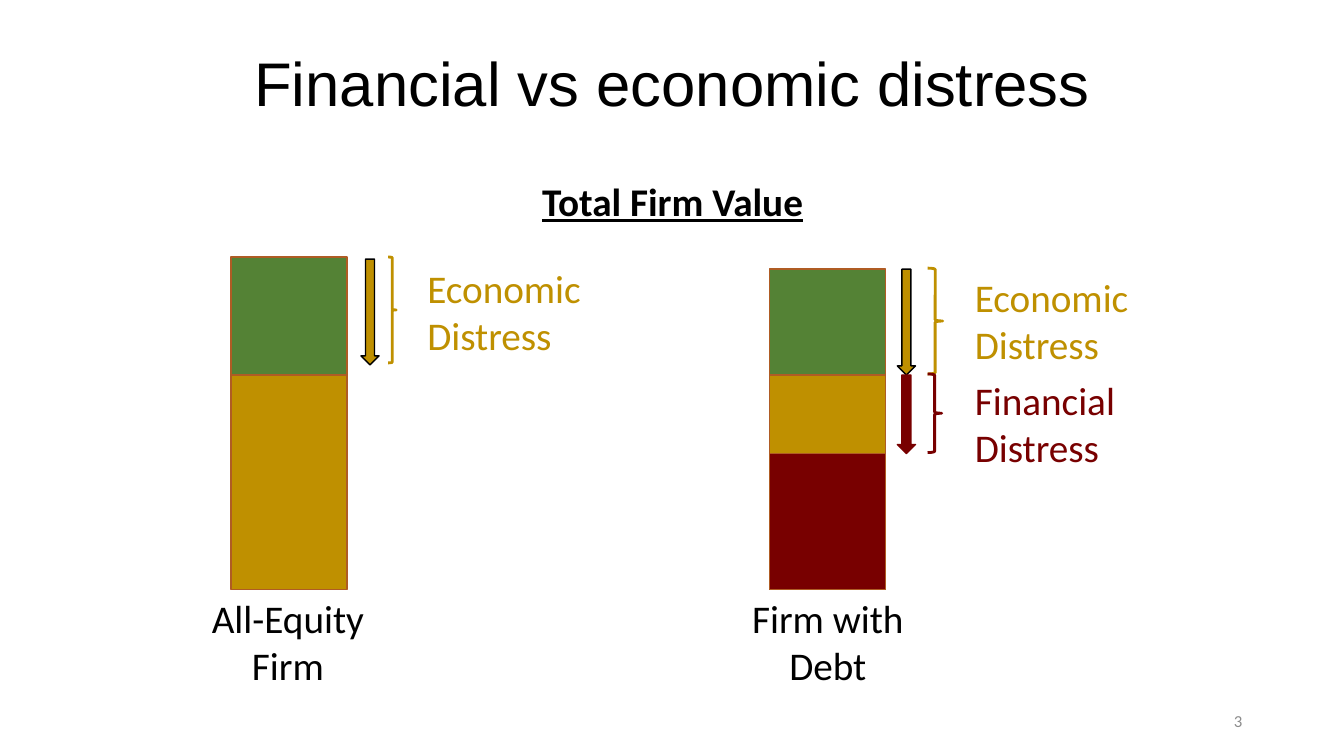
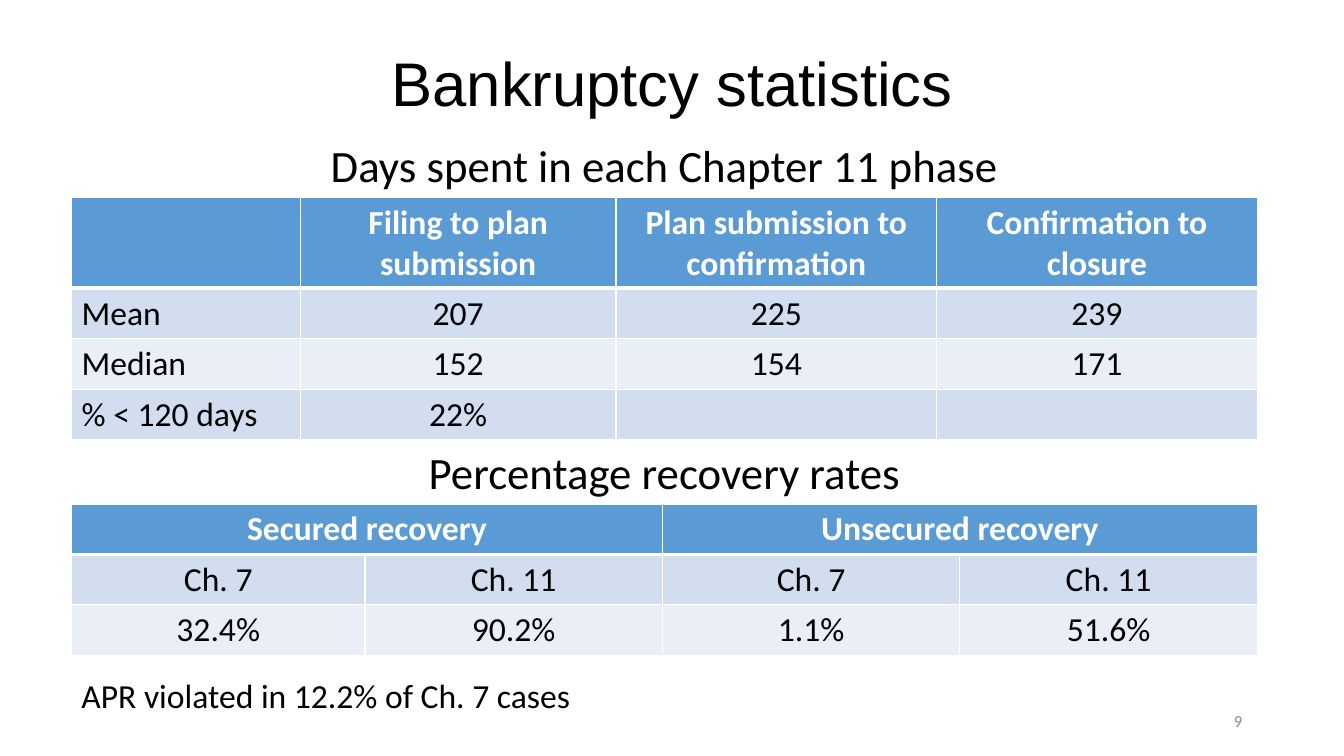
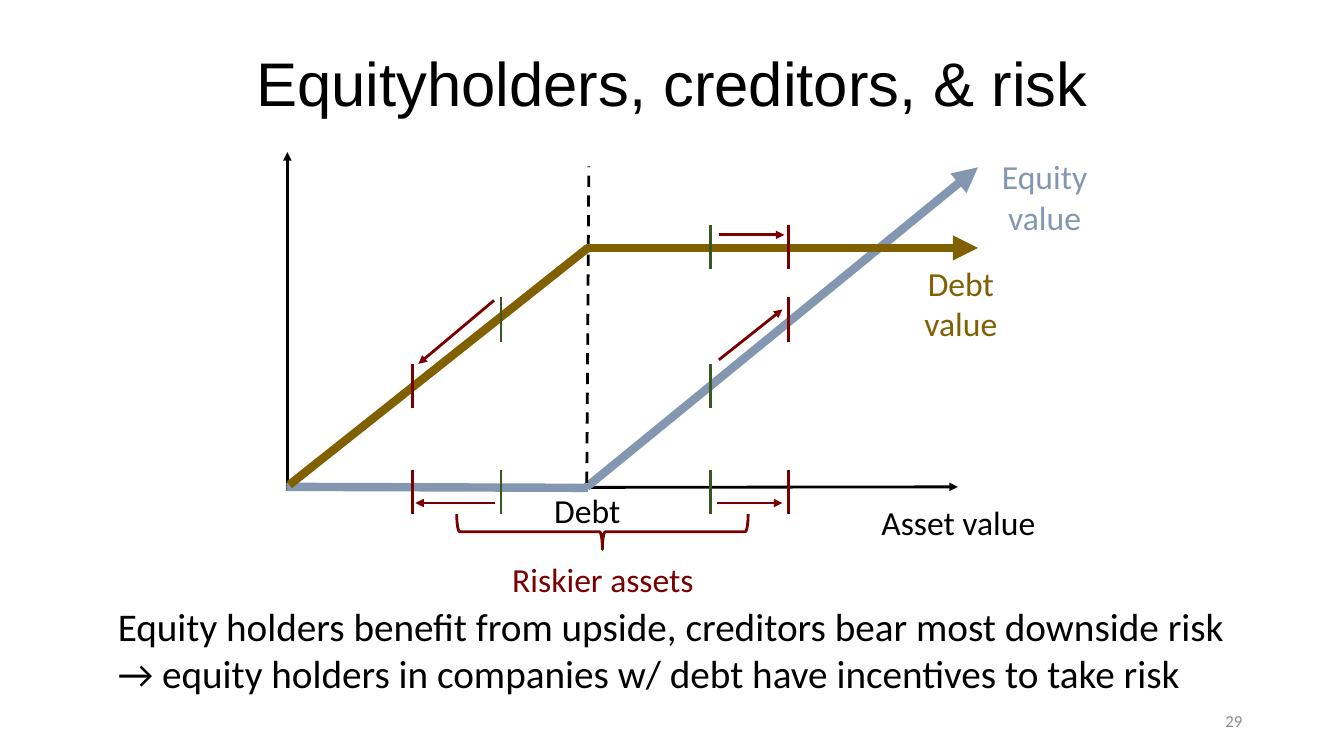
import dataclasses
import typing

import lxml.etree
import pptx
import pptx.dml.color
import pptx.enum.dml
import pptx.enum.shapes
import pptx.enum.text
import pptx.oxml.ns
import pptx.slide
import pptx.util

PIXEL = 9144  # EMU; 100 px to the inch
COLORS = {
    "black": "000000", "white": "FFFFFF", "grey": "8C8C8C",
    "green": "548235", "dark green": "385723", "gold": "BF9000",
    "dark gold": "806000", "red": "780000", "rust": "AF5C24",
    "slate": "8497B0", "header": "5B9BD5", "band": "D2DEEF",
    "light band": "EAEFF7",
}
BODY_FONT = "Calibri"
TITLE_FONT = "Arial"
ALIGN = pptx.enum.text.PP_ALIGN
MIDDLE = pptx.enum.text.MSO_ANCHOR.MIDDLE
SHAPE = pptx.enum.shapes.MSO_SHAPE
qn = pptx.oxml.ns.qn

Slide = pptx.slide.Slide


@dataclasses.dataclass
class Label:
    text: str
    left: int
    top: int
    width: int
    height: int
    size: int = 28
    color: str = "black"
    align: ALIGN = ALIGN.CENTER
    heading: bool = False


@dataclasses.dataclass
class Figure:
    kind: SHAPE
    left: int
    top: int
    width: int
    height: int
    fill: typing.Optional[str]
    line: str
    line_width: int = 1
    rotation: int = 0


@dataclasses.dataclass
class Line:
    x1: int
    y1: int
    x2: int
    y2: int
    color: str
    width: int = 2
    arrow: bool = False
    dashed: bool = False


@dataclasses.dataclass
class Grid:
    top: int
    columns: list[int]
    heights: list[int]
    rows: list[list[str]]
    row_heads: bool = False
    merged_pairs: bool = False


def px(length: int) -> pptx.util.Emu:
    return pptx.util.Emu(length * PIXEL)


def rgb(name: str) -> pptx.dml.color.RGBColor:
    return pptx.dml.color.RGBColor.from_string(COLORS[name])


def format_text(frame, size: int, color: str, align: ALIGN,
                font: str = BODY_FONT, bold: bool = False) -> None:
    for para in frame.paragraphs:
        para.alignment = align
        for span in para.runs:
            span.font.name = font
            span.font.size = pptx.util.Pt(size)
            span.font.bold = bold
            span.font.color.rgb = rgb(color)


def draw_label(page: Slide, label: Label) -> None:
    box = page.shapes.add_textbox(px(label.left), px(label.top),
                                  px(label.width), px(label.height))
    frame = box.text_frame
    frame.word_wrap = True
    frame.text = label.text
    format_text(frame, label.size, label.color, label.align, bold=label.heading)
    if label.heading:
        frame.paragraphs[0].runs[0].font.underline = True


def draw_figure(page: Slide, figure: Figure) -> None:
    shape = page.shapes.add_shape(figure.kind, px(figure.left), px(figure.top),
                                  px(figure.width), px(figure.height))
    shape.shadow.inherit = False
    shape.rotation = figure.rotation
    if figure.fill:
        shape.fill.solid()
        shape.fill.fore_color.rgb = rgb(figure.fill)
    else:
        shape.fill.background()
    shape.line.color.rgb = rgb(figure.line)
    shape.line.width = pptx.util.Pt(figure.line_width)


def draw_line(page: Slide, line: Line) -> None:
    connector = page.shapes.add_connector(
        pptx.enum.shapes.MSO_CONNECTOR.STRAIGHT,
        px(line.x1), px(line.y1), px(line.x2), px(line.y2))
    connector.line.color.rgb = rgb(line.color)
    connector.line.width = pptx.util.Pt(line.width)
    if line.dashed:
        connector.line.dash_style = pptx.enum.dml.MSO_LINE.DASH
    properties = connector.element.spPr
    if line.arrow:
        outline = properties.find(qn("a:ln"))
        lxml.etree.SubElement(outline, qn("a:tailEnd"), type="triangle")
    lxml.etree.SubElement(properties, qn("a:effectLst"))


def set_borders(cell, header: bool) -> None:
    properties = cell._tc.get_or_add_tcPr()
    for side in ("lnL", "lnR", "lnT", "lnB"):
        points = 3 if header and side == "lnB" else 1
        border = lxml.etree.SubElement(properties, qn(f"a:{side}"),
                                       w=str(pptx.util.Pt(points)))
        fill = lxml.etree.SubElement(border, qn("a:solidFill"))
        lxml.etree.SubElement(fill, qn("a:srgbClr"), val=COLORS["white"])


def draw_grid(page: Slide, grid: Grid) -> None:
    table = page.shapes.add_table(
        len(grid.rows), len(grid.columns), px(71), px(grid.top),
        px(sum(grid.columns)), px(sum(grid.heights))).table
    for column, width in zip(table.columns, grid.columns):
        column.width = px(width)
    for r, (height, texts) in enumerate(zip(grid.heights, grid.rows)):
        table.rows[r].height = px(height)
        header = r == 0
        fill = "header" if header else "band" if r % 2 else "light band"
        for c, text in enumerate(texts):
            cell = table.cell(r, c)
            set_borders(cell, header)
            cell.fill.solid()
            cell.fill.fore_color.rgb = rgb(fill)
            if text:
                cell.text_frame.text = text
            align = ALIGN.LEFT if grid.row_heads and c == 0 else ALIGN.CENTER
            format_text(cell.text_frame, 24, "white" if header else "black",
                        align, bold=header)
    if grid.merged_pairs:
        for c in range(0, len(grid.columns), 2):
            table.cell(0, c).merge(table.cell(0, c + 1))


def add_page(deck, title: str, number: int) -> Slide:
    """Add a page with the shared title style and page number."""
    page = deck.slides.add_slide(deck.slide_layouts[5])
    box = page.shapes.title
    box.left, box.top, box.width, box.height = px(92), px(40), px(1150), px(91)
    frame = box.text_frame
    frame.text = title
    frame.vertical_anchor = MIDDLE
    frame.paragraphs[0].line_spacing = 0.9
    format_text(frame, 44, "black", ALIGN.CENTER, TITLE_FONT)

    footer = page.shapes.add_textbox(px(942), px(695), px(300), px(40)).text_frame
    footer.word_wrap = True
    footer.vertical_anchor = MIDDLE
    footer.text = str(number)
    format_text(footer, 12, "grey", ALIGN.RIGHT)
    return page


def build_distress(deck) -> None:
    page = add_page(deck, "Financial vs economic distress", 3)
    # Stacked value bars: left, top, height, colour
    for left, top, height, color in [
        (229, 255, 318, "green"), (763, 267, 318, "green"),
        (229, 372, 213, "gold"), (763, 372, 213, "gold"),
        (763, 450, 135, "red"),
    ]:
        draw_figure(page, Figure(SHAPE.RECTANGLE, left, top, 115, height,
                                 color, "rust"))
    # Loss braces: left, top, width, height, colour
    for left, top, width, height, color in [
        (385, 255, 8, 105, "gold"), (920, 266, 15, 105, "gold"),
        (920, 371, 14, 78, "red"),
    ]:
        draw_figure(page, Figure(SHAPE.RIGHT_BRACE, left, top, width, height,
                                 None, color, 2))
    # Loss arrows: left, top, height, fill, outline
    for left, top, height, fill, outline in [
        (358, 257, 105, "gold", "black"), (890, 267, 105, "gold", "black"),
        (890, 372, 78, "red", "red"),
    ]:
        draw_figure(page, Figure(SHAPE.DOWN_ARROW, left, top, 18, height,
                                 fill, outline))
    for label in [
        Label("Economic Distress", 414, 257, 193, 104, 28, "gold", ALIGN.LEFT),
        Label("Economic Distress", 957, 266, 181, 104, 28, "gold", ALIGN.LEFT),
        Label("Financial Distress", 957, 368, 181, 104, 28, "red", ALIGN.LEFT),
        Label("All-Equity Firm", 195, 585, 181, 104),
        Label("Firm with Debt", 722, 585, 198, 104),
        Label("Total Firm Value", 520, 171, 294, 57, heading=True),
    ]:
        draw_label(page, label)


def build_statistics(deck) -> None:
    page = add_page(deck, "Bankruptcy statistics", 9)
    draw_grid(page, Grid(196, [227, 313, 318, 318], [90, 50, 50, 50], [
        ["", "Filing to plan submission", "Plan submission to confirmation",
         "Confirmation to closure"],
        ["Mean", "207", "225", "239"],
        ["Median", "152", "154", "171"],
        ["% < 120 days", "22%", "", ""],
    ], row_heads=True))
    draw_grid(page, Grid(500, [291, 295, 295, 295], [50, 50, 50], [
        ["Secured recovery", "", "Unsecured recovery", ""],
        ["Ch. 7", "Ch. 11", "Ch. 7", "Ch. 11"],
        ["32.4%", "90.2%", "1.1%", "51.6%"],
    ], merged_pairs=True))
    for label in [
        Label("Days spent in each Chapter 11 phase", 251, 132, 816, 64, 32),
        Label("Percentage recovery rates", 251, 436, 816, 64, 32),
        Label("APR violated in 12.2% of Ch. 7 cases", 71, 665, 816, 50, 24,
              align=ALIGN.LEFT),
    ]:
        draw_label(page, label)


def build_risk(deck) -> None:
    page = add_page(deck, "Equityholders, creditors, & risk", 29)
    # Axes, then equity and debt payoffs
    for line in [
        Line(285, 487, 285, 151, "black", arrow=True),
        Line(284, 484, 950, 483, "black", arrow=True),
        Line(582, 483, 970, 166, "slate", 6, arrow=True),
        Line(284, 483, 583, 484, "slate", 6),
        Line(582, 479, 584, 165, "black", dashed=True),
        Line(287, 481, 583, 246, "dark gold", 6),
        Line(581, 246, 970, 246, "dark gold", 6, arrow=True),
    ]:
        draw_line(page, line)

    # Ticks: green marks the safer assets, red the riskier ones
    safe_low, safe_high, risky_low, risky_high = 497, 705, 409, 782
    tick_rows = {
        466: [safe_low, safe_high, risky_low, risky_high],
        361: [safe_high, risky_low],
        295: [safe_low, risky_high],
        223: [safe_high, risky_high],
    }
    for top, places in tick_rows.items():
        for x in places:
            color = "dark green" if x in (safe_low, safe_high) else "red"
            draw_line(page, Line(x, top, x, top + 44, color))

    # Moves from safer to riskier
    for ends in [(491, 499, 412, 499), (711, 499, 776, 499),
                 (490, 298, 415, 361), (713, 357, 776, 307),
                 (713, 233, 778, 233)]:
        draw_line(page, Line(*ends, "red", arrow=True))
    draw_figure(page, Figure(SHAPE.LEFT_BRACE, 580, 383, 35, 289,
                             None, "red", 2, rotation=270))

    for label in [
        Label("Asset value", 863, 493, 175, 50, 24),
        Label("Equity value", 955, 150, 162, 91, 24, "slate"),
        Label("Debt", 517, 481, 131, 50, 24),
        Label("Debt value", 889, 256, 128, 91, 24, "dark gold"),
        Label("Riskier assets", 469, 550, 258, 50, 24, "red"),
        Label("Equity holders benefit from upside, creditors bear most "
              "downside risk → equity holders in companies w/ debt have "
              "incentives to take risk", 107, 593, 1124, 104,
              align=ALIGN.LEFT),
    ]:
        draw_label(page, label)


def main() -> None:
    deck = pptx.Presentation()
    deck.slide_width, deck.slide_height = px(1333), px(750)
    build_distress(deck)
    build_statistics(deck)
    build_risk(deck)
    deck.save("out.pptx")


if __name__ == "__main__":
    main()
